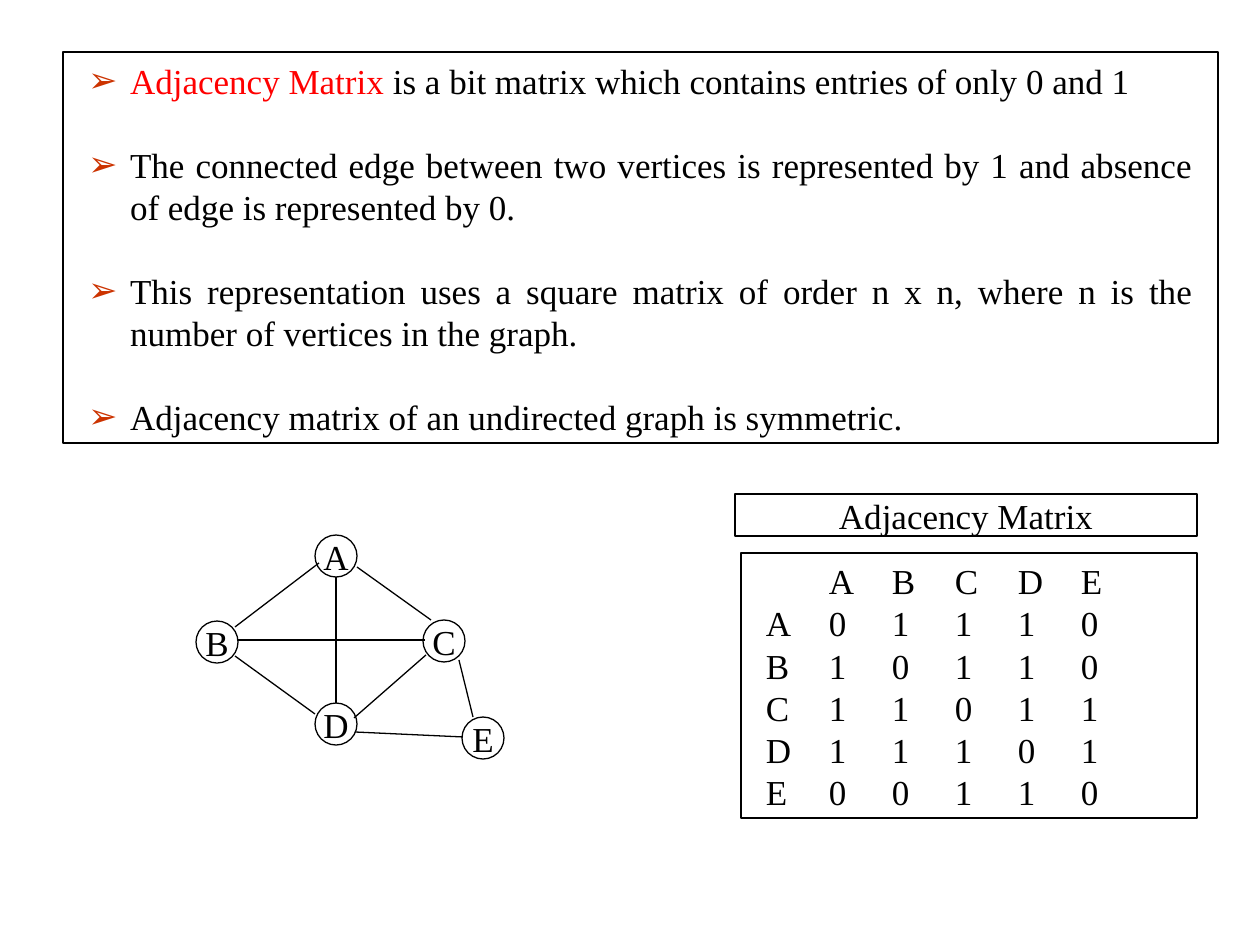
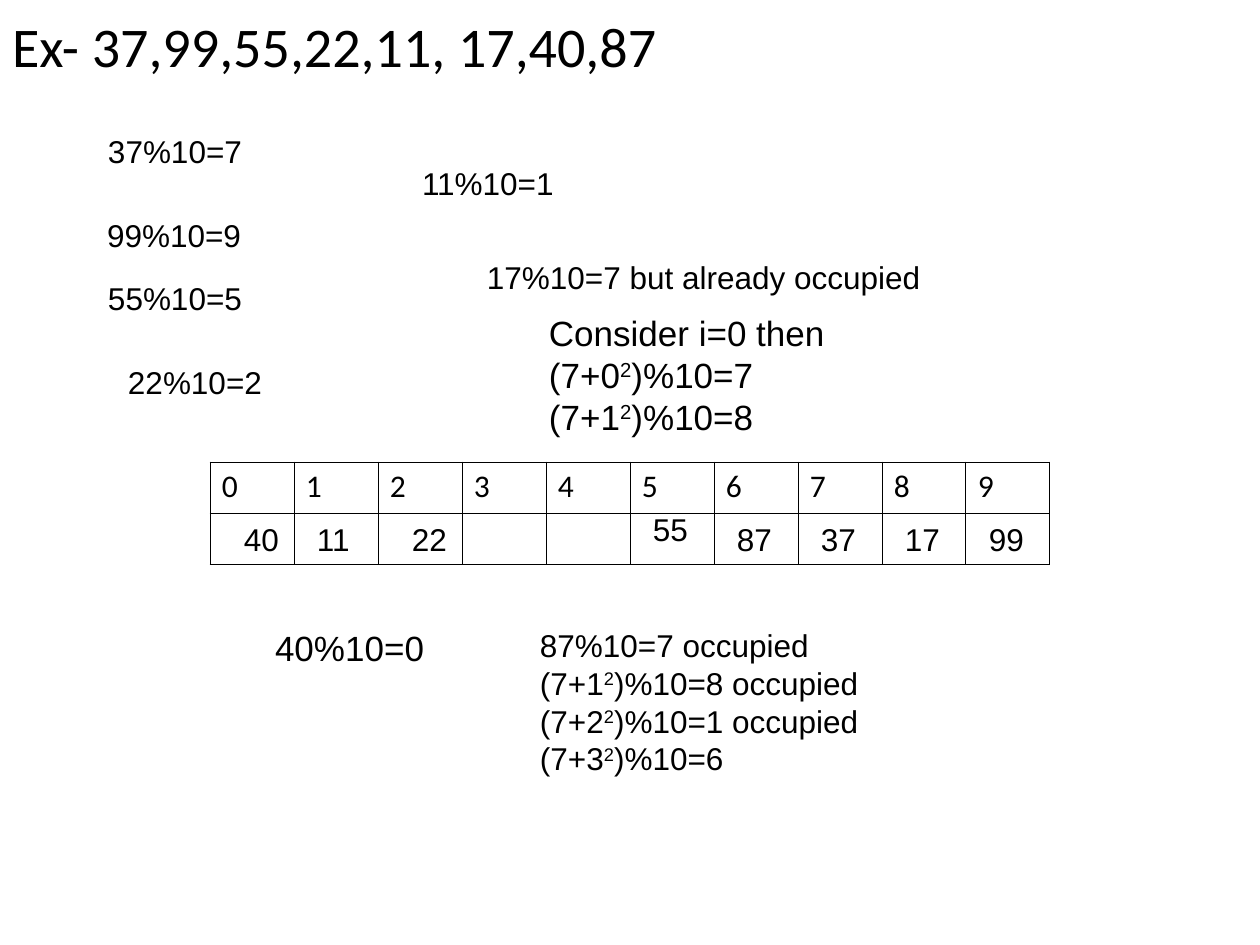
from dataclasses import dataclass

from lxml import etree
from pptx import Presentation
from pptx.dml.color import RGBColor
from pptx.enum.shapes import MSO_CONNECTOR, MSO_SHAPE
from pptx.enum.text import MSO_ANCHOR, MSO_AUTO_SIZE, PP_ALIGN
from pptx.oxml.ns import qn
from pptx.util import Pt

LEFT, CENTER, JUSTIFY = PP_ALIGN.LEFT, PP_ALIGN.CENTER, PP_ALIGN.JUSTIFY
TOP, MIDDLE = MSO_ANCHOR.TOP, MSO_ANCHOR.MIDDLE
OVAL, STRAIGHT = MSO_SHAPE.OVAL, MSO_CONNECTOR.STRAIGHT
RECTANGLE = MSO_SHAPE.RECTANGLE
FIXED_SIZE = MSO_AUTO_SIZE.NONE
LAYOUT_TITLE_BODY, LAYOUT_TITLE_ONLY = 1, 5
EMU_PER_PX = 914400 / 126


@dataclass(frozen=True)
class Theme:
    ink: str = "000000"
    highlight: str = "FF0000"
    bullet: str = "CC3300"
    serif: str = "Times New Roman"
    sans: str = "Arial"
    heading: str = "Calibri"
    title_size: int = 32
    body_size: int = 20
    note_size: int = 18
    line_ratio: float = 1.2
    outline: float = 0.75
    grid: float = 0.45


THEME = Theme()


def px(length):
    return round(length * EMU_PER_PX)


def place(shape, box):
    shape.left, shape.top, shape.width, shape.height = map(px, box)


def add_child(parent, tag, **attributes):
    child = etree.SubElement(parent, qn(tag))
    for name, value in attributes.items():
        child.set(name, str(value))
    return child


def add_run(paragraph, text, font, size, color, superscript=False):
    run = paragraph.add_run()
    run.text = text
    run.font.name, run.font.size = font, Pt(size)
    run.font.bold = False
    run.font.color.rgb = RGBColor.from_string(color)
    if superscript:
        run.font._element.set("baseline", "30000")


def write(frame, lines, font=THEME.sans, size=THEME.note_size, color=THEME.ink,
          align=LEFT, anchor=TOP, inset=(12, 6), wrap=True, gap=0,
          bullet=None, hang=0, tabs=()):
    """Fill a frame; a line is a string or (text, colour) parts; ² is raised."""
    frame.word_wrap, frame.auto_size = wrap, FIXED_SIZE
    frame.vertical_anchor = anchor
    frame.margin_left = frame.margin_right = px(inset[0])
    frame.margin_top = frame.margin_bottom = px(inset[1])
    for number, line in enumerate(lines):
        paragraph = frame.add_paragraph() if number else frame.paragraphs[0]
        properties = paragraph._p.get_or_add_pPr()
        properties.set("marL", str(px(hang)))
        properties.set("indent", str(-px(hang)))
        if bullet:
            color_node = add_child(properties, "a:buClr")
            add_child(color_node, "a:srgbClr", val=THEME.bullet)
            add_child(properties, "a:buChar", char=bullet)
        if tabs:
            stops = add_child(properties, "a:tabLst")
            for stop in tabs:
                add_child(stops, "a:tab", pos=px(stop), algn="ctr")
        paragraph.alignment = align
        paragraph.line_spacing = Pt(size * THEME.line_ratio)
        paragraph.space_before = Pt(gap if number else 0)
        parts = [(line, color)] if isinstance(line, str) else line
        for text, part_color in parts:
            for index, piece in enumerate(text.split("²")):
                if index:
                    add_run(paragraph, "2", font, size, part_color, True)
                if piece:
                    add_run(paragraph, piece, font, size, part_color)


def outline(shape):
    shape.line.color.rgb = RGBColor.from_string(THEME.ink)
    shape.line.width = Pt(THEME.outline)


def add_outlined(shapes, preset, box):
    shape = shapes.add_shape(preset, *map(px, box))
    shape.shadow.inherit = False
    shape.fill.background()
    outline(shape)
    return shape


def add_note(slide, box, *lines, **style):
    note = slide.shapes.add_textbox(*map(px, box))
    write(note.text_frame, lines, **style)


# Adjacency matrix slide

def definition_list(slide, box):
    body = slide.placeholders[1]
    place(body, box)
    outline(body)
    facts = [
        [("Adjacency Matrix", THEME.highlight),
         (" is a bit matrix which contains entries of only 0 and 1", THEME.ink)],
        "The connected edge between two vertices is represented by 1 "
        "and absence of edge is represented by 0.",
        "This representation uses a square matrix of order n x n, "
        "where n is the number of vertices in the graph.",
        "Adjacency matrix of an undirected graph is symmetric.",
    ]
    write(body.text_frame, facts, font=THEME.serif, size=THEME.body_size,
          align=JUSTIFY, inset=(25, 7), gap=24, bullet="➢", hang=42)


def matrix_panel(slide, box):
    left, top, width, height = box
    heading = slide.shapes.title
    place(heading, (left, top, width, 42))
    outline(heading)
    write(heading.text_frame, ["Adjacency Matrix"], font=THEME.serif,
          size=THEME.body_size, align=CENTER, anchor=MIDDLE)

    vertices = "ABCDE"
    entries = ["01110", "10110", "11011", "11101", "00110"]
    rows = ["\t" + "\t".join(vertices)]
    rows += ["\t".join(vertex + bits) for vertex, bits in zip(vertices, entries)]
    panel = add_outlined(slide.shapes, RECTANGLE,
                         (left + 6, top + 59, width - 6, height - 59))
    write(panel.text_frame, rows, font=THEME.serif, size=THEME.body_size,
          inset=(25, 7), tabs=[100 + 57 * column for column in range(5)])


def vertex_graph(slide, box):
    left, top = box[:2]
    diameter = 42
    vertices = {"A": (119, 0), "B": (0, 86), "C": (227, 85),
                "D": (119, 168), "E": (266, 182)}
    edges = [  # x and y of both ends: AB, DB, CA, CD, EC, ED, AD, BC
        (123, 28, 39, 92), (119, 179, 39, 121), (235, 85, 161, 32),
        (230, 120, 158, 183), (277, 182, 263, 125), (267, 202, 159, 197),
        (140, 42, 140, 168), (41, 105, 229, 105),
    ]
    graph = slide.shapes.add_group_shape().shapes
    for x1, y1, x2, y2 in edges:
        edge = graph.add_connector(STRAIGHT, px(left + x1), px(top + y1),
                                   px(left + x2), px(top + y2))
        outline(edge)
        add_child(edge._element.spPr, "a:effectLst")
    for name, (x, y) in vertices.items():
        vertex = add_outlined(graph, OVAL, (left + x, top + y, diameter, diameter))
        write(vertex.text_frame, [name], font=THEME.serif, size=THEME.body_size,
              align=CENTER, anchor=MIDDLE, wrap=False)


def adjacency_slide(deck):
    slide = deck.slides.add_slide(deck.slide_layouts[LAYOUT_TITLE_BODY])
    definition_list(slide, (63, 52, 1155, 391))
    matrix_panel(slide, (735, 494, 462, 324))
    vertex_graph(slide, (196, 535, 308, 224))


# Quadratic probing slide

def border_cell(cell):
    properties = cell._tc.get_or_add_tcPr()
    for side in ("a:lnL", "a:lnR", "a:lnT", "a:lnB"):
        line = add_child(properties, side, w=Pt(THEME.grid))
        add_child(add_child(line, "a:solidFill"), "a:srgbClr", val=THEME.ink)
    cell.fill.background()


def hash_table(slide, box):
    left, top, width, height = box
    slots = 10
    slot_width, row_height = width // slots, height // 2
    table = slide.shapes.add_table(2, slots, *map(px, box)).table
    table.first_row = table.horz_banding = False
    for row in table.rows:
        row.height = px(row_height)
    for slot in range(slots):
        table.columns[slot].width = px(slot_width)
        index_cell, key_cell = table.cell(0, slot), table.cell(1, slot)
        for cell in (index_cell, key_cell):
            cell.margin_left = cell.margin_right = px(12)
            cell.margin_top = cell.margin_bottom = px(6)
            border_cell(cell)
        add_run(index_cell.text_frame.paragraphs[0], str(slot),
                THEME.heading, THEME.note_size, THEME.ink)
        add_child(key_cell.text_frame.paragraphs[0]._p, "a:endParaRPr",
                  sz=THEME.note_size * 100)

    # Keys dropped into their slots: slot, key, shift right, shift down
    keys = [(0, "40", 22, 0), (1, "11", 11, 0), (2, "22", 22, 0),
            (5, "55", 11, -10), (6, "87", 11, 0), (7, "37", 11, 0),
            (8, "17", 11, 0), (9, "99", 11, 0)]
    for slot, key, right, down in keys:
        add_note(slide, (left + slot * slot_width + right,
                         top + row_height + 1 + down, 62, 50), key)


def hash_steps(slide, box):
    left, top = box[:2]
    steps = [("37%10=7", 1, 0), ("99%10=9", 0, 84), ("55%10=5", 1, 147),
             ("22%10=2", 21, 231), ("11%10=1", 315, 32),
             ("17%10=7 but already occupied", 380, 126)]
    for step, x, y in steps:
        width = 170 if len(step) < 10 else 468
        add_note(slide, (left + x, top + y, width, 50), step)
    add_note(slide, (left + 442, top + 179, 301, 145), "Consider i=0 then",
             "(7+0²)%10=7", "(7+1²)%10=8", size=THEME.body_size)


def final_steps(slide, box):
    left, top, width, height = box
    add_note(slide, (left, top, 180, 55), "40%10=0", size=THEME.body_size)
    add_note(slide, (left + 265, top, width - 265, height), "87%10=7 occupied",
             "(7+1²)%10=8 occupied", "(7+2²)%10=1 occupied", "(7+3²)%10=6")


def probing_slide(deck):
    slide = deck.slides.add_slide(deck.slide_layouts[LAYOUT_TITLE_ONLY])
    place(slide.shapes.title, (0, 0, 1113, 105))
    write(slide.shapes.title.text_frame, ["Ex- 37,99,55,22,11, 17,40,87"],
          font=THEME.heading, size=THEME.title_size, inset=(12, 11))
    hash_table(slide, (210, 462, 840, 102))
    hash_steps(slide, (95, 126, 753, 324))
    final_steps(slide, (263, 620, 608, 202))


def main():
    deck = Presentation()
    deck.slide_width, deck.slide_height = px(1260), px(945)
    adjacency_slide(deck)
    probing_slide(deck)
    deck.save("out.pptx")


if __name__ == "__main__":
    main()
